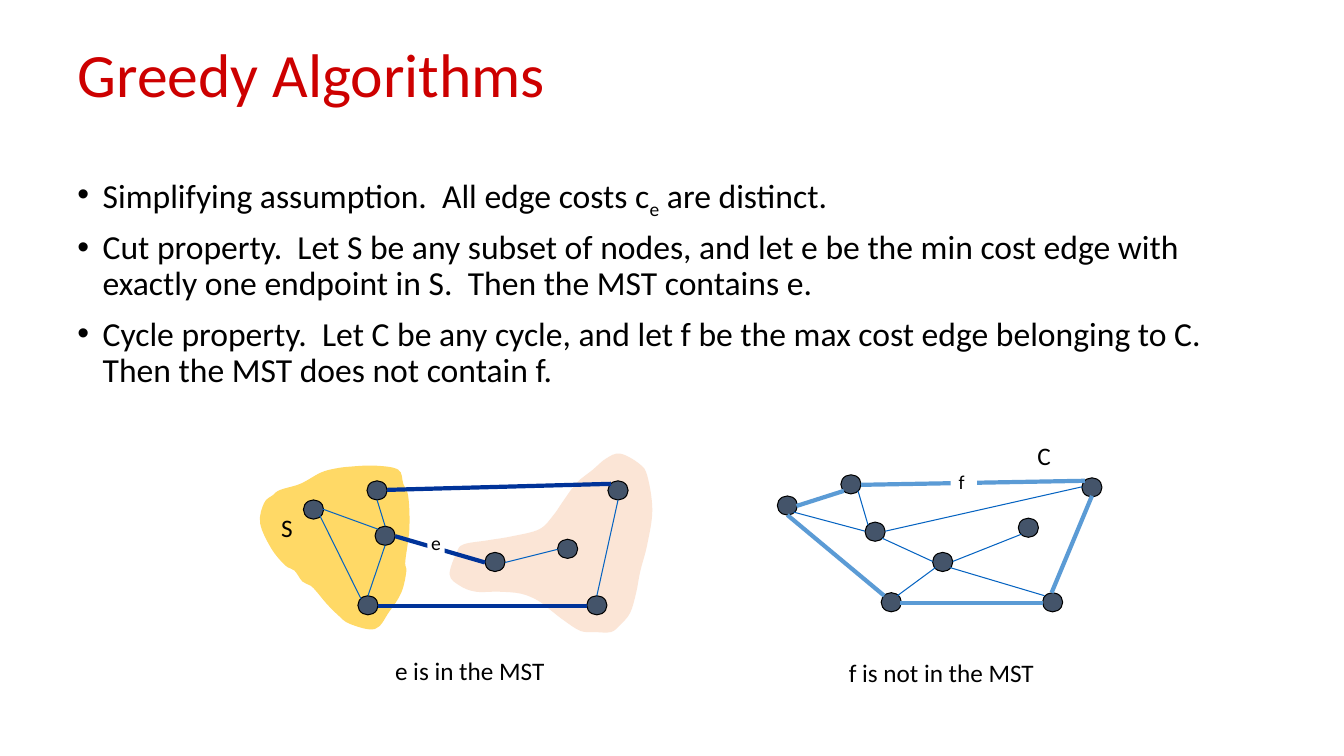
from typing import NamedTuple

from lxml import etree
from pptx import Presentation
from pptx.dml.color import RGBColor
from pptx.enum import shapes, text
from pptx.oxml.ns import qn
from pptx.util import Inches, Pt

Point = tuple[float, float]

HUES = {
    "title": "CD0000", "ink": "000000", "node": "44546A", "mask": "FFFFFF",
    "near": "FFD966", "far": "FBE5D6",
    "cut": "003399", "cycle": "5B9BD5", "thin": "0563C1",
}
NODE = (0.2, 0.19)


class Edge(NamedTuple):
    start: Point
    end: Point
    hue: str = "thin"
    width: float = 0.75


class Label(NamedTuple):
    words: str
    box: tuple[float, float, float, float]


class Region(NamedTuple):
    hue: str
    outline: list[Point]


REGIONS = [
    Region("far", [
        (6.15, 4.5), (6.34, 4.6), (6.42, 4.72), (6.47, 5.06), (6.42, 5.4),
        (6.35, 5.67), (6.31, 5.88), (6.25, 6.08), (6.15, 6.2), (6.06, 6.27),
        (5.9, 6.27), (5.76, 6.26), (5.6, 6.16), (5.47, 6.06), (5.34, 5.96),
        (5.17, 5.89), (4.95, 5.87), (4.72, 5.87), (4.56, 5.81), (4.46, 5.7),
        (4.53, 5.48), (4.6, 5.4), (4.84, 5.36), (5.08, 5.32),
        (5.35, 5.25), (5.49, 5.11), (5.58, 4.98), (5.72, 4.79), (5.88, 4.66),
        (6.01, 4.55)]),
    Region("near", [
        (2.78, 4.86), (2.98, 4.8), (3.18, 4.69), (3.32, 4.65), (3.47, 4.63),
        (3.72, 4.62), (3.95, 4.66), (4, 4.8), (4.05, 4.93), (4.06, 5.25),
        (4.02, 5.57), (4.03, 5.67), (3.98, 5.88), (3.86, 6.07), (3.72, 6.24),
        (3.47, 6.19), (3.35, 6.1), (3.24, 5.99), (3.14, 5.87),
        (3.08, 5.81), (3, 5.77), (2.92, 5.66), (2.83, 5.61),
        (2.69, 5.44), (2.58, 5.19), (2.62, 4.99), (2.71, 4.91)]),
]

NODES = [
    (7.71, 4.92), (10.73, 4.74), (10.34, 5.88), (8.34, 4.71),
    (8.58, 5.18), (8.74, 5.88), (10.1, 5.14), (9.25, 5.48),
    (3.01, 4.96), (6.03, 4.77), (5.82, 5.91), (3.64, 4.77),
    (3.72, 5.22), (3.55, 5.91), (5.53, 5.35), (4.81, 5.48),
]

EDGES = [
    Edge((7.9, 5.02), (8.37, 4.87), "cycle", 3),
    Edge((8.77, 5.91), (7.81, 5.11), "cycle", 3),
    Edge((10.83, 4.92), (10.43, 5.88), "cycle", 3),
    Edge((10.34, 5.98), (8.93, 5.98), "cycle", 3),
    Edge((8.54, 4.81), (10.76, 4.77), "cycle", 3),
    Edge((5.82, 6.01), (3.75, 6.01), "cut", 3),
    Edge((3.84, 4.86), (6.06, 4.8), "cut", 3),
    Edge((3.92, 5.32), (4.81, 5.58), "cut", 3),
    Edge((3.2, 5.05), (3.75, 5.25)),
    Edge((3.17, 5.11), (3.58, 5.94)),
    Edge((3.74, 4.96), (3.82, 5.22)),
    Edge((3.82, 5.41), (3.65, 5.91)),
    Edge((6.13, 4.96), (5.92, 5.91)),
    Edge((5.53, 5.45), (5.01, 5.58)),
    Edge((8.51, 4.87), (8.61, 5.21)),
    Edge((10.73, 4.83), (8.78, 5.27)),
    Edge((9.25, 5.57), (8.75, 5.34)),
    Edge((9.28, 5.63), (8.9, 5.91)),
    Edge((10.36, 5.91), (9.42, 5.63)),
    Edge((10.13, 5.3), (9.45, 5.57)),
    Edge((8.58, 5.27), (7.87, 5.08)),
]

MASKS = [Label("f ", (9.43, 4.66, 0.26, 0.24)), Label("e", (4.24, 5.27, 0.17, 0.24))]
LABELS = [
    Label("C", (10.19, 4.32, 0.34, 0.4)),
    Label("S", (2.69, 5.03, 0.32, 0.4)),
    Label("e is in the MST", (3.82, 6.45, 1.7, 0.4)),
    Label("f is not in the MST", (8.32, 6.47, 2.06, 0.4)),
]

# Each point is a list of runs; every second run is a subscript.
POINTS = [
    ["Simplifying assumption.  All edge costs c", "e", " are distinct."],
    ["Cut property.  Let S be any subset of nodes, and let e be the min cost "
     "edge with exactly one endpoint in S.  Then the MST contains e."],
    ["Cycle property.  Let C be any cycle, and let f be the max cost edge "
     "belonging to C.  Then the MST does not contain f."],
]


def put(thing, **values) -> None:
    for name, value in values.items():
        setattr(thing, name, value)


def write(para, words: str, size: float, hue: str = "ink"):
    run = para.add_run()
    run.text = words
    put(run.font, name="Calibri", size=Pt(size))
    run.font.color.rgb = RGBColor.from_string(HUES[hue])
    return run


def paint(shape, hue: str, line: str | None = None) -> None:
    shape.shadow.inherit = False
    shape.fill.solid()
    shape.fill.fore_color.rgb = RGBColor.from_string(HUES[hue])
    if line:
        shape.line.color.rgb = RGBColor.from_string(HUES[line])
        shape.line.width = Pt(0.75)
    else:
        shape.line.fill.background()


def smooth(dots: list[Point]) -> list[Point]:
    """Return two handles and an end point for each curve of a closed outline."""
    curve = []
    for i in range(len(dots)):
        ring = [dots[(i + k) % len(dots)] for k in (-1, 0, 1, 2)]
        trios = [(b + (c - a) / 6, c - (d - b) / 6, c) for a, b, c, d in zip(*ring)]
        curve.extend(zip(*trios))
    return curve


def add_title(slide) -> None:
    title = slide.shapes.title
    put(title, left=Inches(0.67), top=Inches(0.04),
        width=Inches(11.5), height=Inches(1.45))
    put(title.text_frame, vertical_anchor=text.MSO_ANCHOR.MIDDLE,
        word_wrap=True, auto_size=text.MSO_AUTO_SIZE.NONE)
    para = title.text_frame.paragraphs[0]
    put(para, alignment=text.PP_ALIGN.LEFT, line_spacing=0.9)
    write(para, "Greedy Algorithms", 44, "title")


def add_points(slide) -> None:
    box = slide.shapes.add_textbox(*map(Inches, (0.67, 1.69, 11.5, 4.76)))
    frame = box.text_frame
    frame.word_wrap = True
    for i, parts in enumerate(POINTS):
        para = frame.add_paragraph() if i else frame.paragraphs[0]
        put(para, line_spacing=0.9, space_before=Pt(10 if i else 0))
        props = para._p.get_or_add_pPr()
        props.set("marL", str(Inches(0.25)))
        props.set("indent", str(Inches(-0.25)))
        etree.SubElement(props, qn("a:buFont")).set("typeface", "Arial")
        etree.SubElement(props, qn("a:buChar")).set("char", "•")
        for k, words in enumerate(parts):
            run = write(para, words, 24)
            if k % 2:
                run._r.get_or_add_rPr().set("baseline", "-25000")


def add_region(slide, region: Region) -> None:
    """Draw a closed outline, joining its segments by threes into curves."""
    start, *dots = [(Inches(x), Inches(y))
                    for x, y in region.outline[:1] + smooth(region.outline)]
    pen = slide.shapes.build_freeform(*start)
    pen.add_line_segments(dots, close=True)
    shape = pen.convert_to_shape()
    steps = list(shape._element.iter(qn("a:lnTo")))
    for first, second, third in zip(*[iter(steps)] * 3):
        first.tag = qn("a:cubicBezTo")
        for step in (second, third):
            first.append(step[0])
            step.getparent().remove(step)
    paint(shape, region.hue)


def add_edge(slide, edge: Edge) -> None:
    line = slide.shapes.add_connector(
        shapes.MSO_CONNECTOR.STRAIGHT, *map(Inches, edge.start + edge.end))
    line.line.color.rgb = RGBColor.from_string(HUES[edge.hue])
    line.line.width = Pt(edge.width)
    etree.SubElement(line._element.spPr, qn("a:effectLst"))


def add_mask(slide, label: Label) -> None:
    """Draw a small label that hides the edge behind it."""
    mask = slide.shapes.add_shape(
        shapes.MSO_SHAPE.RECTANGLE, *map(Inches, label.box))
    paint(mask, "mask")
    put(mask.text_frame, margin_left=0, margin_right=0, margin_top=0,
        margin_bottom=0, vertical_anchor=text.MSO_ANCHOR.TOP)
    para = mask.text_frame.paragraphs[0]
    para.alignment = text.PP_ALIGN.CENTER
    write(para, label.words, 14)


def add_label(slide, label: Label) -> None:
    box = slide.shapes.add_textbox(*map(Inches, label.box))
    box.text_frame.word_wrap = False
    write(box.text_frame.paragraphs[0], label.words, 18)


def main() -> None:
    deck = Presentation()
    put(deck, slide_width=Inches(13.33), slide_height=Inches(7.5))
    slide = deck.slides.add_slide(deck.slide_layouts[5])
    add_title(slide)
    add_points(slide)
    for region in REGIONS:
        add_region(slide, region)
    for spot in NODES:
        node = slide.shapes.add_shape(
            shapes.MSO_SHAPE.OVAL, *map(Inches, spot + NODE))
        paint(node, "node", "ink")
    for draw, items in ((add_edge, EDGES), (add_mask, MASKS), (add_label, LABELS)):
        for item in items:
            draw(slide, item)
    deck.save("out.pptx")


if __name__ == "__main__":
    main()
